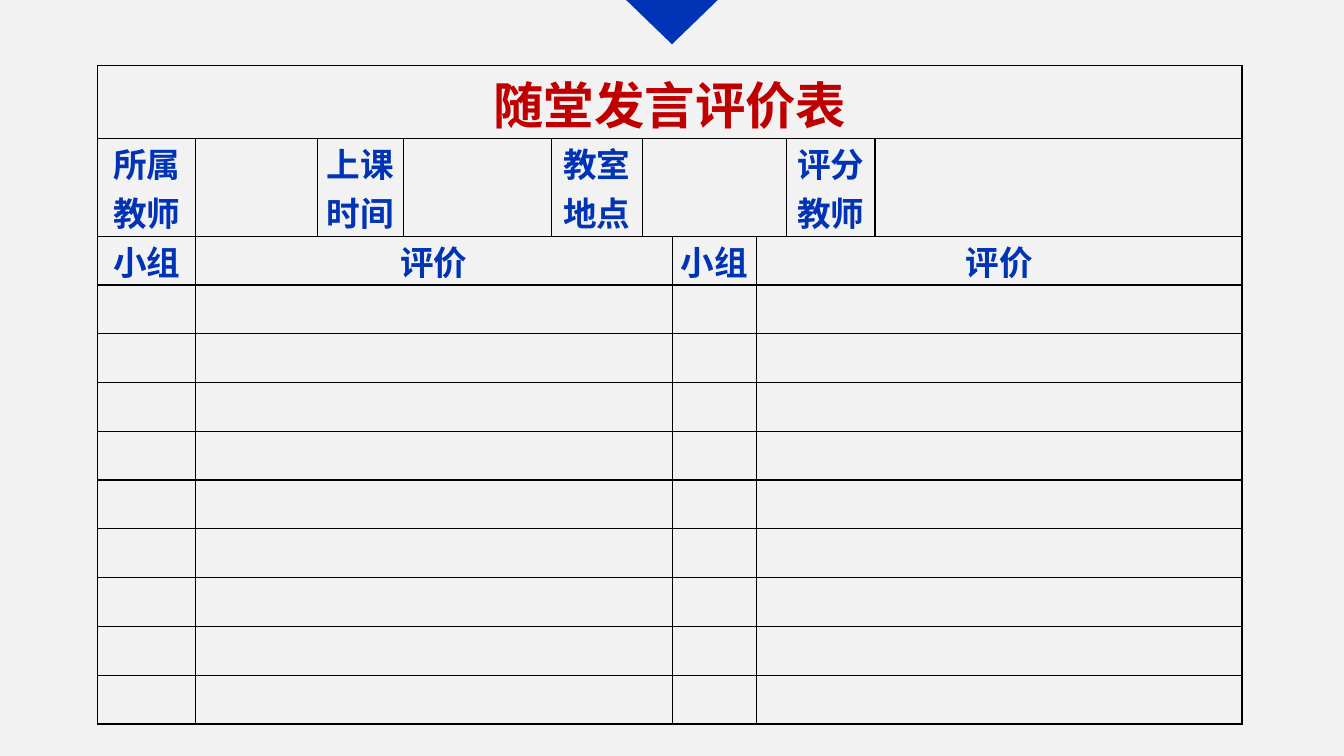
from lxml.etree import SubElement
from pptx import Presentation
from pptx.dml.color import RGBColor
from pptx.enum.shapes import MSO_SHAPE
from pptx.enum.text import MSO_ANCHOR, PP_ALIGN
from pptx.oxml.ns import qn
from pptx.util import Inches, Pt

COLORS = {"page": "F2F2F2", "blue": "0033B5", "red": "C00000", "border": "000000"}
FONT = "Noto Sans CJK SC"
COL_WIDTHS = [0.97, 1.21, 0.85, 1.47, 0.9, 0.3, 0.83, 0.3, 0.88, 3.64]
SCORE_ROWS = 9
ROW_HEIGHTS = [0.72, 0.97] + [0.484] * (SCORE_ROWS + 1)
INFO_LABELS = {0: "所属教师", 2: "上课时间", 4: "教室地点", 8: "评分教师"}
SCORE_LABELS = {0: "小组", 1: "评价", 6: "小组", 7: "评价"}
SCORE_SPANS = [(1, 5), (7, 9)]


def rgb(name):
    """Return the named colour."""
    return RGBColor.from_string(COLORS[name])


def write_text(cell, text, size=24, color="blue", bold=True):
    """Write centred text into a table cell."""
    p = cell.text_frame.paragraphs[0]
    p.alignment = PP_ALIGN.CENTER
    r = p.add_run()
    r.text = text
    r.font.size, r.font.bold, r.font.name = Pt(size), bold, FONT
    r.font.color.rgb = rgb(color)
    SubElement(r.font._element, qn("a:ea"), typeface=FONT)


def format_cell(cell):
    """Give a cell thin borders, no fill and tight margins."""
    tcPr = cell._tc.get_or_add_tcPr()
    for side in ("lnL", "lnR", "lnT", "lnB"):
        ln = SubElement(tcPr, qn(f"a:{side}"), w=str(Pt(1)))
        fill = SubElement(ln, qn("a:solidFill"))
        SubElement(fill, qn("a:srgbClr"), val=COLORS["border"])
    cell.fill.background()
    cell.vertical_anchor = MSO_ANCHOR.MIDDLE
    cell.margin_left = cell.margin_right = Inches(0.07)
    cell.margin_top = cell.margin_bottom = 0


def add_grid(slide, left, top):
    """Add the bordered table with its column widths and row heights."""
    frame = slide.shapes.add_table(
        len(ROW_HEIGHTS), len(COL_WIDTHS), Inches(left), Inches(top),
        Inches(sum(COL_WIDTHS)), Inches(sum(ROW_HEIGHTS)))
    table = frame.table
    table.first_row = table.horz_banding = False
    for column, width in zip(table.columns, COL_WIDTHS):
        column.width = Inches(width)
    for row, height in zip(table.rows, ROW_HEIGHTS):
        row.height = Inches(height)
    for cell in table.iter_cells():
        format_cell(cell)
    return table


def merge_row(table, row, first, last):
    """Merge a run of cells in one row."""
    table.cell(row, first).merge(table.cell(row, last))


def fill_evaluation(table):
    """Merge the cells of the evaluation form and write its labels."""
    merge_row(table, 0, 0, len(COL_WIDTHS) - 1)
    merge_row(table, 1, 5, 7)
    for row in range(2, len(ROW_HEIGHTS)):
        for first, last in SCORE_SPANS:
            merge_row(table, row, first, last)
    write_text(table.cell(0, 0), "随堂发言评价表", size=36, color="red")
    for row, labels in ((1, INFO_LABELS), (2, SCORE_LABELS)):
        for col, label in labels.items():
            write_text(table.cell(row, col), label)


def add_pointer(slide, left, top, width, height):
    """Add a triangle that points down."""
    sp = slide.shapes.add_shape(MSO_SHAPE.ISOSCELES_TRIANGLE, Inches(left),
                                Inches(top), Inches(width), Inches(height))
    sp._element.spPr.xfrm.set("flipV", "1")
    sp.shadow.inherit = False
    sp.fill.solid()
    sp.fill.fore_color.rgb = rgb("blue")
    sp.line.fill.background()


def main():
    """Build and save the slide."""
    prs = Presentation()
    prs.slide_width, prs.slide_height = Inches(13.33), Inches(7.5)
    s = prs.slides.add_slide(prs.slide_layouts[6])
    s.background.fill.solid()
    s.background.fill.fore_color.rgb = rgb("page")
    add_pointer(s, 6.21, 0, 0.91, 0.44)
    fill_evaluation(add_grid(s, 0.97, 0.65))
    prs.save("out.pptx")


if __name__ == "__main__":
    main()
